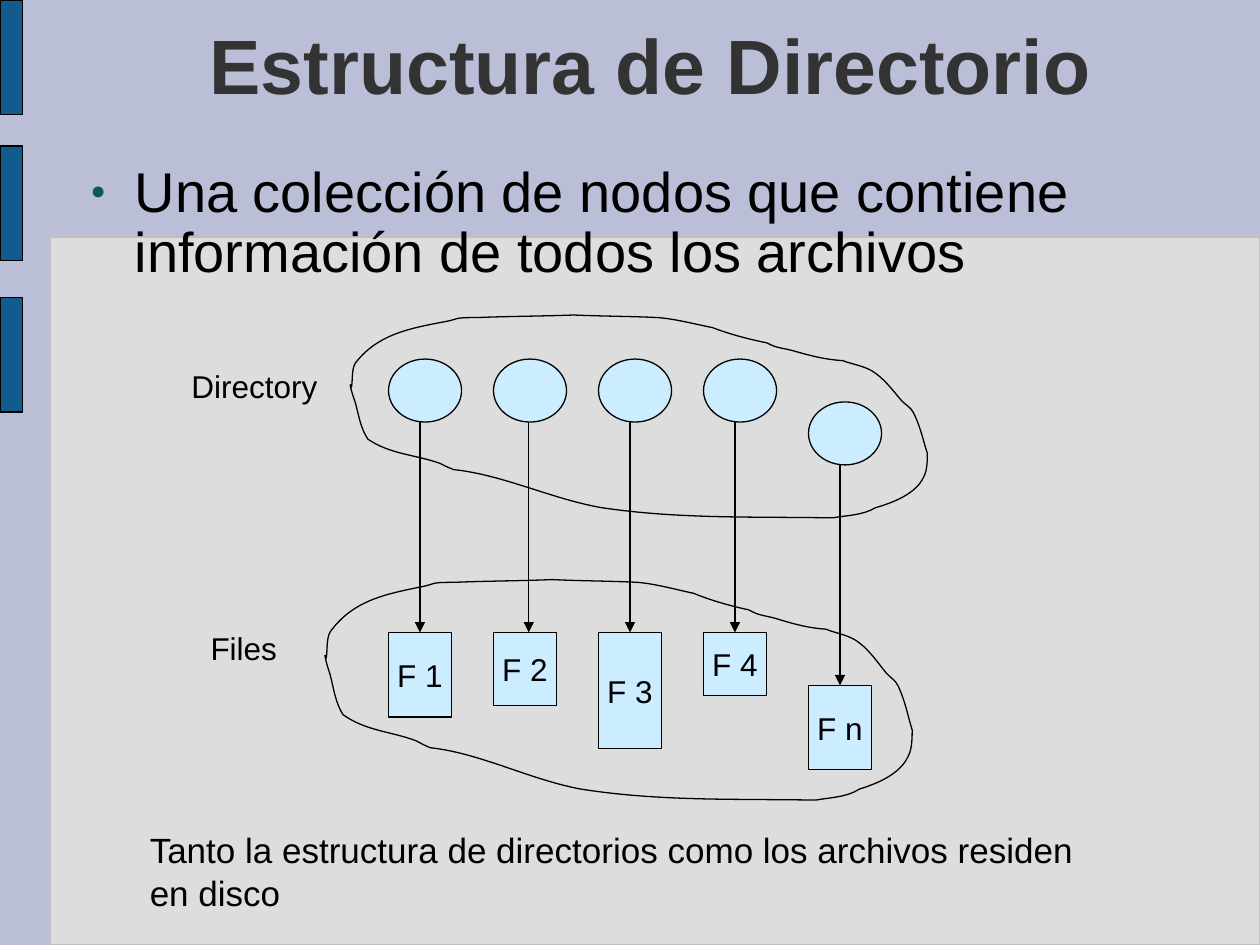
from dataclasses import dataclass

from lxml import etree
from pptx import Presentation
from pptx.dml.color import RGBColor
from pptx.enum.shapes import MSO_CONNECTOR, MSO_SHAPE
from pptx.enum.text import MSO_ANCHOR, PP_ALIGN
from pptx.oxml.ns import qn
from pptx.util import Inches, Pt

RECTANGLE, OVAL = MSO_SHAPE.RECTANGLE, MSO_SHAPE.OVAL
STRAIGHT = MSO_CONNECTOR.STRAIGHT
TOP, MIDDLE, BOTTOM = MSO_ANCHOR.TOP, MSO_ANCHOR.MIDDLE, MSO_ANCHOR.BOTTOM
LEFT, CENTER = PP_ALIGN.LEFT, PP_ALIGN.CENTER

BACKGROUND = RGBColor(0xBA, 0xBE, 0xD6)
PANEL = RGBColor(0xDD, 0xDD, 0xDD)
PANEL_EDGE = RGBColor(0xC0, 0xC0, 0xC0)
BAR = RGBColor(0x12, 0x5C, 0x8D)
NODE = RGBColor(0xCC, 0xEC, 0xFF)
TITLE = RGBColor(0x33, 0x33, 0x33)
BLACK = RGBColor(0, 0, 0)
BULLET = "0E594D"
FONT = "Arial"


@dataclass(frozen=True)
class Box:
    left: float
    top: float
    width: float
    height: float

    def emu(self) -> tuple:
        return tuple(Inches(v) for v in (self.left, self.top, self.width, self.height))


@dataclass(frozen=True)
class Entry:
    """A directory node and the file it points to."""
    label: str
    column: int
    height: float
    node_top: float = 2.85
    file_top: float = 5.02
    arrow_shift: float = 0

    @property
    def left(self) -> float:
        return FIRST_LEFT + PITCH * self.column


FIRST_LEFT, PITCH = 3 + 1 / 12, 10 / 12
NODE_WIDTH, NODE_HEIGHT, FILE_WIDTH = 0.58, 0.5, 0.5
ENTRIES = (
    Entry("F 1", 0, 0.67),
    Entry("F 2", 1, 0.58, arrow_shift=0.03),
    Entry("F 3", 2, 0.92),
    Entry("F 4", 3, 0.5),
    Entry("F n", 4, 0.67, node_top=3.19, file_top=5.44),
)

# Cloud outline: a start point, then cubic segments (two controls and an end).
CLOUD_FRAME = Box(2.78, 2.5, 4.57, 1.6)
CLOUD_START = (2.79, 3.07)
CLOUD_CURVES = (
    ((2.8, 3.01), (2.79, 2.93), (2.82, 2.88)),
    ((2.99, 2.66), (3.23, 2.61), (3.49, 2.56)),
    ((3.67, 2.53), (3.57, 2.52), (3.79, 2.52)),
    ((4.04, 2.51), (4.29, 2.51), (4.55, 2.5)),
    ((4.77, 2.51), (4.99, 2.51), (5.21, 2.52)),
    ((5.35, 2.53), (5.5, 2.57), (5.65, 2.6)),
    ((5.78, 2.65), (5.93, 2.69), (6.08, 2.72)),
    ((6.15, 2.76), (6.2, 2.76), (6.28, 2.78)),
    ((6.42, 2.82), (6.53, 2.85), (6.68, 2.86)),
    ((6.76, 2.89), (6.84, 2.9), (6.91, 2.94)),
    ((7.01, 3.0), (7.08, 3.1), (7.15, 3.18)),
    ((7.18, 3.21), (7.22, 3.23), (7.24, 3.27)),
    ((7.28, 3.35), (7.3, 3.42), (7.32, 3.49)),
    ((7.33, 3.53), (7.35, 3.59), (7.35, 3.59)),
    ((7.35, 3.64), (7.35, 3.73), (7.32, 3.78)),
    ((7.26, 3.91), (7.08, 3.98), (6.94, 4.02)),
    ((6.84, 4.08), (6.72, 4.08), (6.6, 4.1)),
    ((5.96, 4.09), (5.38, 4.11), (4.77, 4.02)),
    ((4.37, 3.95), (3.99, 3.76), (3.6, 3.72)),
    ((3.58, 3.71), (3.57, 3.71), (3.55, 3.7)),
    ((3.53, 3.69), (3.51, 3.68), (3.49, 3.67)),
    ((3.29, 3.6), (3.1, 3.6), (2.92, 3.48)),
    ((2.86, 3.39), (2.85, 3.3), (2.82, 3.19)),
    ((2.82, 3.19), (2.78, 3.08), (2.78, 3.05)),
    ((2.78, 3.05), (2.79, 3.06), (2.79, 3.07)),
)


def outline(shape, color: RGBColor = BLACK) -> None:
    shape.shadow.inherit = False
    shape.line.color.rgb = color
    shape.line.width = Pt(0.75)


def add_filled(slide, kind, box: Box, fill: RGBColor, edge: RGBColor = BLACK):
    shape = slide.shapes.add_shape(kind, *box.emu())
    shape.fill.solid()
    shape.fill.fore_color.rgb = fill
    outline(shape, edge)
    return shape


def write(shape, text: str, size: float, color: RGBColor = BLACK, bold: bool = False,
          align=LEFT, anchor=TOP, wrap: bool = True, before: float = 0):
    frame = shape.text_frame
    frame.text = text
    frame.word_wrap = wrap
    frame.vertical_anchor = anchor
    paragraph = frame.paragraphs[0]
    paragraph.alignment = align
    paragraph.space_before = Pt(before)
    font = paragraph.runs[0].font
    font.name, font.size, font.bold = FONT, Pt(size), bold
    font.color.rgb = color
    return paragraph


def add_text(slide, box: Box, text: str, size: float, **style):
    return write(slide.shapes.add_textbox(*box.emu()), text, size, **style)


def add_bullet(paragraph) -> None:
    paragraph.line_spacing = 0.9
    properties = paragraph._p.get_or_add_pPr()
    properties.set("marL", str(Inches(0.47)))
    properties.set("indent", str(Inches(-0.35)))
    color = etree.SubElement(properties, qn("a:buClr"))
    etree.SubElement(color, qn("a:srgbClr"), val=BULLET)
    etree.SubElement(properties, qn("a:buSzPct"), val="45000")
    etree.SubElement(properties, qn("a:buFont"), typeface=FONT)
    etree.SubElement(properties, qn("a:buChar"), char="●")


def add_cloud(slide, box: Box) -> None:
    """Draw the cloud outline stretched to fill the box."""
    def place(point: tuple) -> tuple:
        across = (point[0] - CLOUD_FRAME.left) / CLOUD_FRAME.width
        down = (point[1] - CLOUD_FRAME.top) / CLOUD_FRAME.height
        return Inches(box.left + across * box.width), Inches(box.top + down * box.height)

    builder = slide.shapes.build_freeform(*place(CLOUD_START), scale=1.0)
    builder.add_line_segments([place(curve[-1]) for curve in CLOUD_CURVES], close=True)
    cloud = builder.convert_to_shape()
    cloud.fill.background()
    outline(cloud)

    # The builder knows only straight segments: bend each one.
    straights = list(cloud._element.iter(qn("a:lnTo")))
    for straight, curve in zip(straights, CLOUD_CURVES):
        bend = etree.Element(qn("a:cubicBezTo"))
        for x, y in map(place, curve):
            etree.SubElement(bend, qn("a:pt"), x=str(x - cloud.left), y=str(y - cloud.top))
        straight.getparent().replace(straight, bend)


def add_node(slide, entry: Entry) -> None:
    add_filled(slide, OVAL, Box(entry.left, entry.node_top, NODE_WIDTH, NODE_HEIGHT), NODE)


def add_file(slide, entry: Entry):
    file = add_filled(
        slide, RECTANGLE, Box(entry.left, entry.file_top, FILE_WIDTH, entry.height), NODE)
    write(file, entry.label, 18, align=CENTER, anchor=MIDDLE, wrap=False)
    return file


def add_arrow(slide, entry: Entry, file) -> None:
    x = Inches(entry.left + FILE_WIDTH / 2 + entry.arrow_shift)
    arrow = slide.shapes.add_connector(
        STRAIGHT, x, Inches(entry.node_top + NODE_HEIGHT), x, Inches(entry.file_top))
    if not entry.arrow_shift:
        arrow.end_connect(file, 0)
    arrow.line.color.rgb = BLACK
    arrow.line.width = Pt(0.75)
    etree.SubElement(arrow.line._get_or_add_ln(), qn("a:tailEnd"), type="triangle")
    etree.SubElement(arrow._element.spPr, qn("a:effectLst"))


def main() -> None:
    deck = Presentation()
    deck.slide_width, deck.slide_height = Inches(10), Inches(7.5)
    slide = deck.slides.add_slide(deck.slide_layouts[6])
    slide.background.fill.solid()
    slide.background.fill.fore_color.rgb = BACKGROUND

    add_filled(slide, RECTANGLE, Box(0.4, 1.88, 9.6, 5.62), PANEL, PANEL_EDGE)
    for top in (0, 2.36, 1.16):
        add_filled(slide, RECTANGLE, Box(0, top, 0.18, 0.91), BAR)
    add_text(slide, Box(0.75, 0.08, 8.83, 0.84), "Estructura de Directorio", 44,
             color=TITLE, bold=True, align=CENTER, anchor=BOTTOM)
    add_bullet(add_text(
        slide, Box(0.5, 1.25, 9.25, 1.06),
        "Una colección de nodos que contiene información de todos los archivos", 32, before=8.8))

    for entry in ENTRIES:
        add_node(slide, entry)
    files = [add_file(slide, entry) for entry in ENTRIES]
    for entry, file in zip(ENTRIES, files):
        add_arrow(slide, entry, file)
    for cloud in (Box(2.78, 2.5, 4.58, 1.61), Box(2.58, 4.6, 4.66, 1.75)):
        add_cloud(slide, cloud)

    for label, box in (("Directory", Box(1.42, 2.86, 1.2, 0.4)),
                       ("Files", Box(1.57, 4.94, 0.73, 0.4))):
        add_text(slide, box, label, 18, align=CENTER, anchor=MIDDLE, wrap=False, before=11.2)
    add_text(slide, Box(1.09, 6.53, 7.69, 0.42),
             "Tanto la estructura de directorios como los archivos residen en disco", 20)
    deck.save("out.pptx")


if __name__ == "__main__":
    main()
